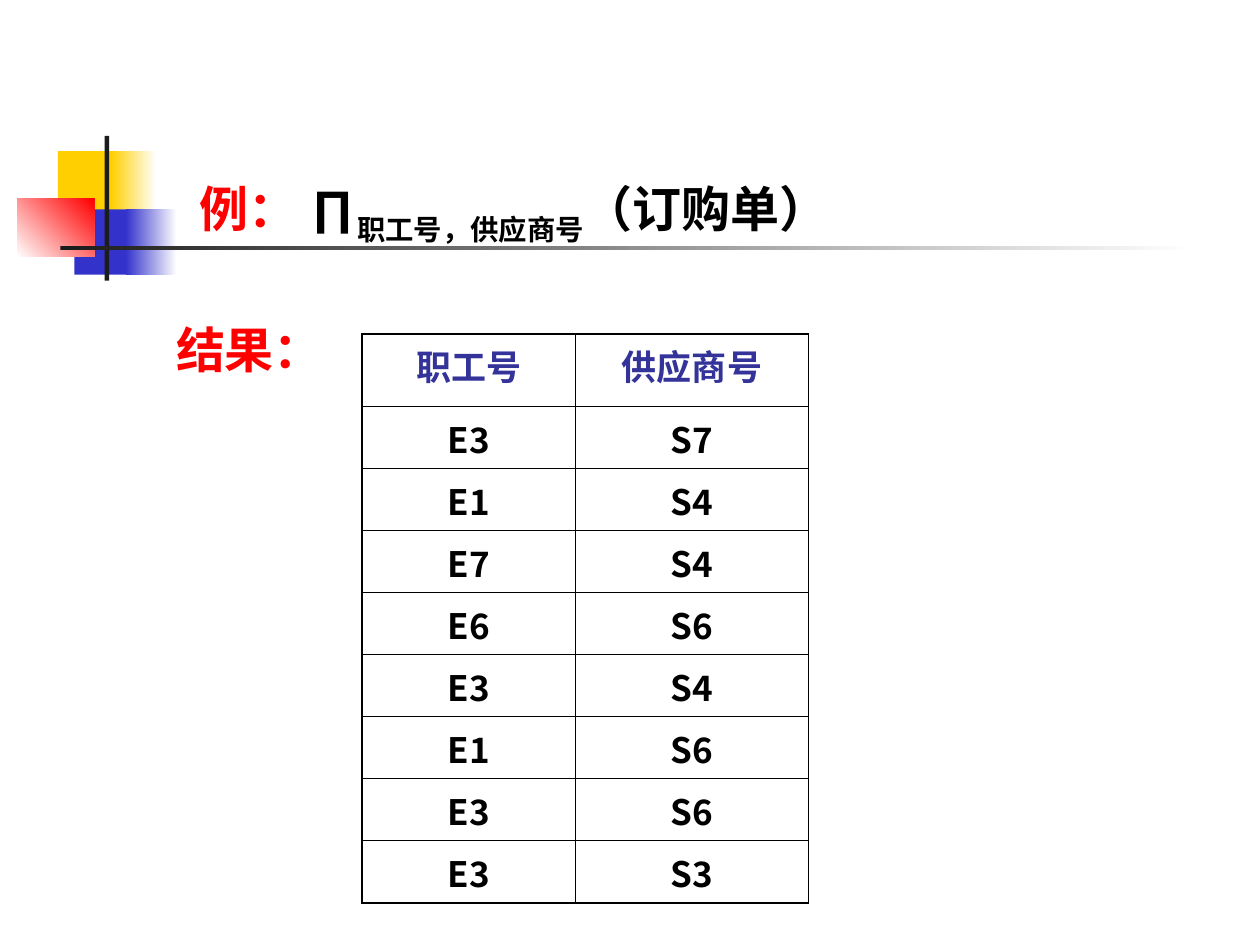
import pptx
import pptx.dml.color
import pptx.enum.shapes
import pptx.enum.text
import pptx.oxml
import pptx.oxml.ns
import pptx.util
from pptx.util import Cm

RGBColor = pptx.dml.color.RGBColor
YELLOW = RGBColor(0xFF, 0xCF, 0x01)
BLUE = RGBColor(0x33, 0x33, 0xCC)
RED = RGBColor(0xFF, 0x00, 0x00)
DARK = RGBColor(0x1C, 0x1C, 0x1C)
WHITE = RGBColor(0xFF, 0xFF, 0xFF)
BLACK = RGBColor(0x00, 0x00, 0x00)
NAVY = RGBColor(0x33, 0x33, 0x99)
CJK_FONT = "Noto Sans CJK SC"


def add_text(paragraph, text, size=28, color=BLACK, font=CJK_FONT, baseline=None):
    run = paragraph.add_run()
    run.text = text
    run.font.size = pptx.util.Pt(size)
    run.font.bold = True
    run.font.color.rgb = color
    run.font.name = font
    properties = run.font._element
    east_asian = pptx.oxml.parse_xml(
        f'<a:ea {pptx.oxml.ns.nsdecls("a")} typeface="{CJK_FONT}"/>')
    properties.find(pptx.oxml.ns.qn("a:latin")).addnext(east_asian)
    if baseline is not None:
        properties.set("baseline", str(baseline * 1000))


def add_border(cell, side, width):
    cell._tc.get_or_add_tcPr().append(pptx.oxml.parse_xml(
        f'<a:ln{side} {pptx.oxml.ns.nsdecls("a")} w="{pptx.util.Pt(width)}">'
        f'<a:solidFill><a:srgbClr val="{BLACK}"/></a:solidFill></a:ln{side}>'))


presentation = pptx.Presentation()
presentation.slide_width = Cm(25.4)
presentation.slide_height = Cm(19.05)
slide = presentation.slides.add_slide(presentation.slide_layouts[5])

# Decorative blocks and rules: left, top, width, height, start, end, angle
ornaments = [
    (1.17, 3.05, 1.22, 1.32, YELLOW, None, 0),
    (2.24, 3.05, 0.91, 1.32, YELLOW, WHITE, 0),
    (1.5, 4.22, 1.17, 1.32, BLUE, None, 0),
    (2.54, 4.22, 1.02, 1.32, BLUE, WHITE, 0),
    (0.35, 4.01, 1.55, 1.17, WHITE, RED, 45),
    (2.11, 2.74, 0.09, 2.92, DARK, None, 0),
    (1.22, 4.95, 22.86, 0.09, DARK, WHITE, 0),
]
for left, top, width, height, start, end, angle in ornaments:
    ornament = slide.shapes.add_shape(
        pptx.enum.shapes.MSO_SHAPE.RECTANGLE, Cm(left), Cm(top), Cm(width), Cm(height))
    ornament.shadow.inherit = False
    ornament.line.fill.background()
    if end is None:
        ornament.fill.solid()
        ornament.fill.fore_color.rgb = start
    else:
        ornament.fill.gradient()
        ornament.fill.gradient_angle = angle
        for stop, color, position in zip(ornament.fill.gradient_stops, (start, end), (0, 1)):
            stop.color.rgb = color
            stop.position = position

# Projection result table
records = [("职工号", "供应商号"), ("E3", "S7"), ("E1", "S4"), ("E7", "S4"), ("E6", "S6"),
           ("E3", "S4"), ("E1", "S6"), ("E3", "S6"), ("E3", "S3")]
column_widths = [4.3, 4.7]
header_height, record_height = 1.47, 1.25
last_row, last_column = len(records) - 1, len(column_widths) - 1
result = slide.shapes.add_table(
    len(records), len(column_widths), Cm(7.3), Cm(6.73), Cm(sum(column_widths)),
    Cm(header_height + record_height * last_row)).table
result.first_row = False
result.horz_banding = False
for column, width in zip(result.columns, column_widths):
    column.width = Cm(width)
for r, record in enumerate(records):
    result.rows[r].height = Cm(record_height if r else header_height)
    for c, value in enumerate(record):
        cell = result.cell(r, c)
        cell.margin_bottom = Cm(0.1)
        paragraph = cell.text_frame.paragraphs[0]
        paragraph.alignment = pptx.enum.text.PP_ALIGN.CENTER
        paragraph.space_before = pptx.util.Pt(5)
        add_text(paragraph, value, size=20, color=BLACK if r else NAVY)
        outer_sides = {"L": c == 0, "R": c == last_column, "T": r == 0, "B": r == last_row}
        for side, is_outer in outer_sides.items():
            add_border(cell, side, 1.08 if is_outer else 0.45)
        cell.fill.background()

# Title with the projection expression, and the result label
title = slide.shapes.title
title.left, title.top, title.width, title.height = Cm(3.76), Cm(3.48), Cm(13.34), Cm(1.6)
result_label = slide.shapes.add_textbox(Cm(3.3), Cm(6.32), Cm(3.45), Cm(1.45))
for heading in (title, result_label):
    frame = heading.text_frame
    frame.word_wrap = False
    frame.auto_size = pptx.enum.text.MSO_AUTO_SIZE.SHAPE_TO_FIT_TEXT
    frame.vertical_anchor = pptx.enum.text.MSO_ANCHOR.TOP
    frame.paragraphs[0].alignment = pptx.enum.text.PP_ALIGN.LEFT

expression = title.text_frame.paragraphs[0]
add_text(expression, "例： ", color=RED)
add_text(expression, "∏", font="Arial")
add_text(expression, "职工号，供应商号", baseline=-25)
add_text(expression, "（订购单）")
add_text(result_label.text_frame.paragraphs[0], "结果：", color=RED, font="Times New Roman")

presentation.save("out.pptx")
